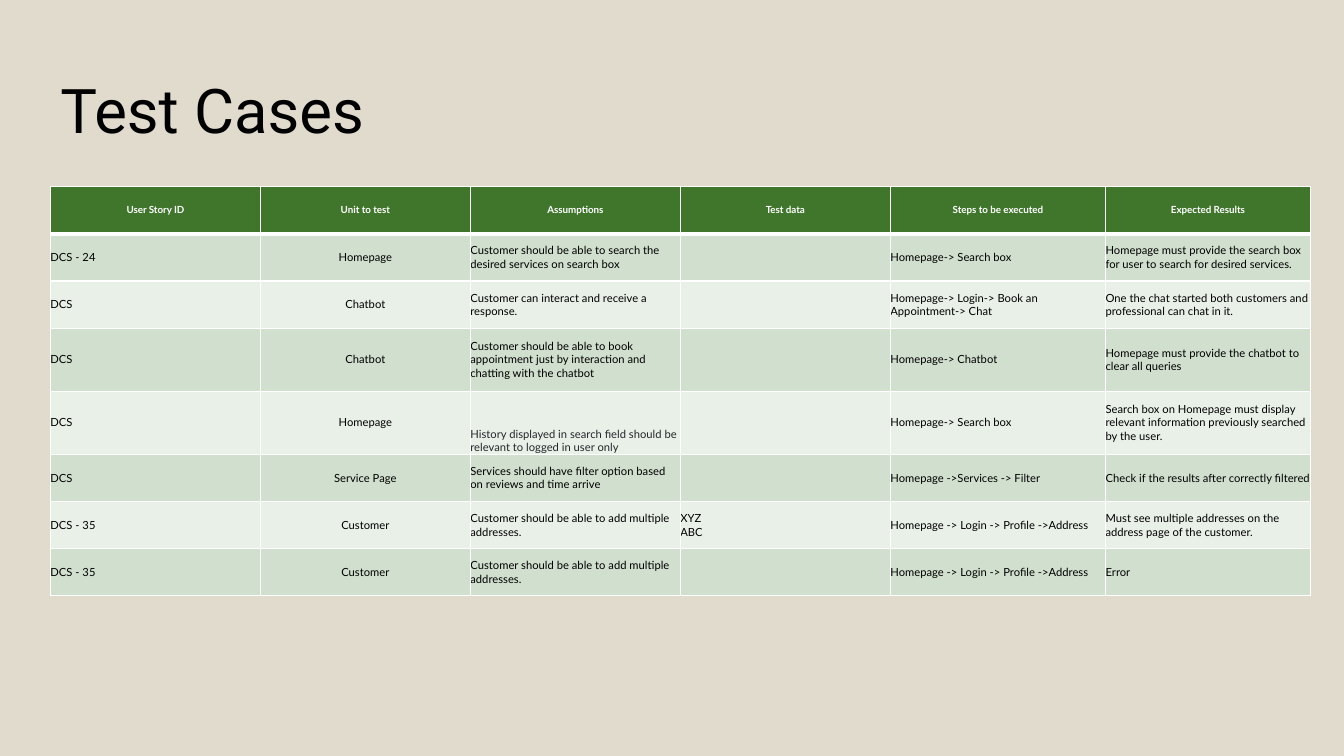
"""Build a slide with a table of test cases."""
from dataclasses import dataclass
from typing import NamedTuple

from lxml.etree import SubElement as Sub
from pptx import Presentation
from pptx.dml.color import RGBColor as Rgb
from pptx.enum.text import MSO_ANCHOR as Anchor, PP_ALIGN as Align
from pptx.oxml.ns import qn
from pptx.slide import Slide
from pptx.table import _Cell as Cell
from pptx.text.text import TextFrame as Frame
from pptx.util import Inches, Pt

WIDE, HIGH = Inches(13.33), Inches(7.5)
COL, ROW = WIDE / 64, HIGH / 48


@dataclass(frozen=True)
class Theme:
    back: str = "E0DBCC"
    head: str = "3F762B"
    odd: str = "D1DFCE"
    even: str = "E9F0E8"
    ink: str = "000000"
    soft: str = "23262B"
    white: str = "FFFFFF"
    title: float = 44
    label: float = 7
    body: float = 8
    thin: float = 1
    thick: float = 3
    big: str = "Roboto"
    small: str = "Lato"


class Case(NamedTuple):
    story: str
    unit: str
    given: str
    data: str
    steps: str
    result: str
    rows: int = 3
    low: bool = False


THEME = Theme()
SPANS = (10, 10, 10, 10, 10.25, 9.75)
HEADS = ("User Story ID", "Unit to test", "Assumptions", "Test data",
         "Steps to be executed", "Expected Results")
CASES = (
    Case("DCS - 24", "Homepage",
         "Customer should be able to search the desired services on search box",
         "", "Homepage-> Search box",
         "Homepage must provide the search box for user to search for desired services."),
    Case("DCS", "Chatbot", "Customer can interact and receive a response.",
         "", "Homepage-> Login-> Book an Appointment-> Chat",
         "One the chat started both customers and professional can chat in it."),
    Case("DCS", "Chatbot",
         "Customer should be able to book appointment just by interaction and "
         "chatting with the chatbot",
         "", "Homepage-> Chatbot",
         "Homepage must provide the chatbot to clear all queries", rows=4),
    Case("DCS", "Homepage",
         "History displayed in search field should be relevant to logged in user only",
         "", "Homepage-> Search box",
         "Search box on Homepage must display relevant information previously "
         "searched by the user.", rows=4, low=True),
    Case("DCS", "Service Page",
         "Services should have filter option based on reviews and time arrive",
         "", "Homepage ->Services -> Filter",
         "Check if the results after correctly filtered"),
    Case("DCS - 35", "Customer", "Customer should be able to add multiple addresses.",
         "XYZ\nABC", "Homepage -> Login -> Profile ->Address",
         "Must see multiple addresses on the address page of the customer."),
    Case("DCS - 35", "Customer", "Customer should be able to add multiple addresses.",
         "", "Homepage -> Login -> Profile ->Address", "Error"),
)


def write(frame: Frame, text: str, face: str, size: float, ink: str,
          align: Align = Align.LEFT, bold: bool = False) -> None:
    frame.text = text
    for para in frame.paragraphs:
        para.alignment = align
        for run in para.runs:
            font = run.font
            font.name, font.size, font.bold = face, Pt(size), bold
            font.color.rgb = Rgb.from_string(ink)


def edge(cell: Cell, base: float) -> None:
    props = cell._tc.get_or_add_tcPr()
    for side in "LRTB":
        width = base if side == "B" else THEME.thin
        line = Sub(props, qn(f"a:ln{side}"), w=str(Pt(width)))
        Sub(Sub(line, qn("a:solidFill")), qn("a:srgbClr"), val=THEME.white)


def paint(cell: Cell, fill: str, base: float) -> None:
    edge(cell, base)
    cell.fill.solid()
    cell.fill.fore_color.rgb = Rgb.from_string(fill)
    cell.vertical_anchor = Anchor.MIDDLE
    cell.margin_left = cell.margin_right = 0
    cell.margin_top = cell.margin_bottom = 0


def add_title(slide: Slide) -> None:
    title = slide.shapes.title
    title.left, title.top = Inches(0.5), Inches(0.4)
    title.width, title.height = Inches(11.92), Inches(1.45)
    frame = title.text_frame
    write(frame, "Test Cases", THEME.big, THEME.title, THEME.ink)
    frame.vertical_anchor = Anchor.MIDDLE
    frame.paragraphs[0].line_spacing = 0.9


def add_cases(slide: Slide) -> None:
    spans = [3] + [case.rows for case in CASES]
    table = slide.shapes.add_table(
        len(spans), len(SPANS), Inches(0.5), Inches(1.85),
        int(sum(SPANS) * COL), int(sum(spans) * ROW)).table
    for col, span in zip(table.columns, SPANS):
        col.width = int(span * COL)
    for row, span in zip(table.rows, spans):
        row.height = int(span * ROW)
    for x, head in enumerate(HEADS):
        cell = table.cell(0, x)
        paint(cell, THEME.head, THEME.thick)
        write(cell.text_frame, head, THEME.small, THEME.label, THEME.white,
              Align.CENTER, True)
    for y, case in enumerate(CASES, 1):
        for x, text in enumerate(case[:len(HEADS)]):
            cell = table.cell(y, x)
            low = case.low and x == 2
            paint(cell, THEME.odd if y % 2 else THEME.even, THEME.thin)
            write(cell.text_frame, text, THEME.small, THEME.body,
                  THEME.soft if low else THEME.ink,
                  Align.CENTER if x == 1 else Align.LEFT)
            if low:
                cell.vertical_anchor = Anchor.BOTTOM


def main() -> None:
    deck = Presentation()
    deck.slide_width, deck.slide_height = WIDE, HIGH
    slide = deck.slides.add_slide(deck.slide_layouts[5])
    fill = slide.background.fill
    fill.solid()
    fill.fore_color.rgb = Rgb.from_string(THEME.back)
    add_title(slide)
    add_cases(slide)
    deck.save("out.pptx")


if __name__ == "__main__":
    main()
